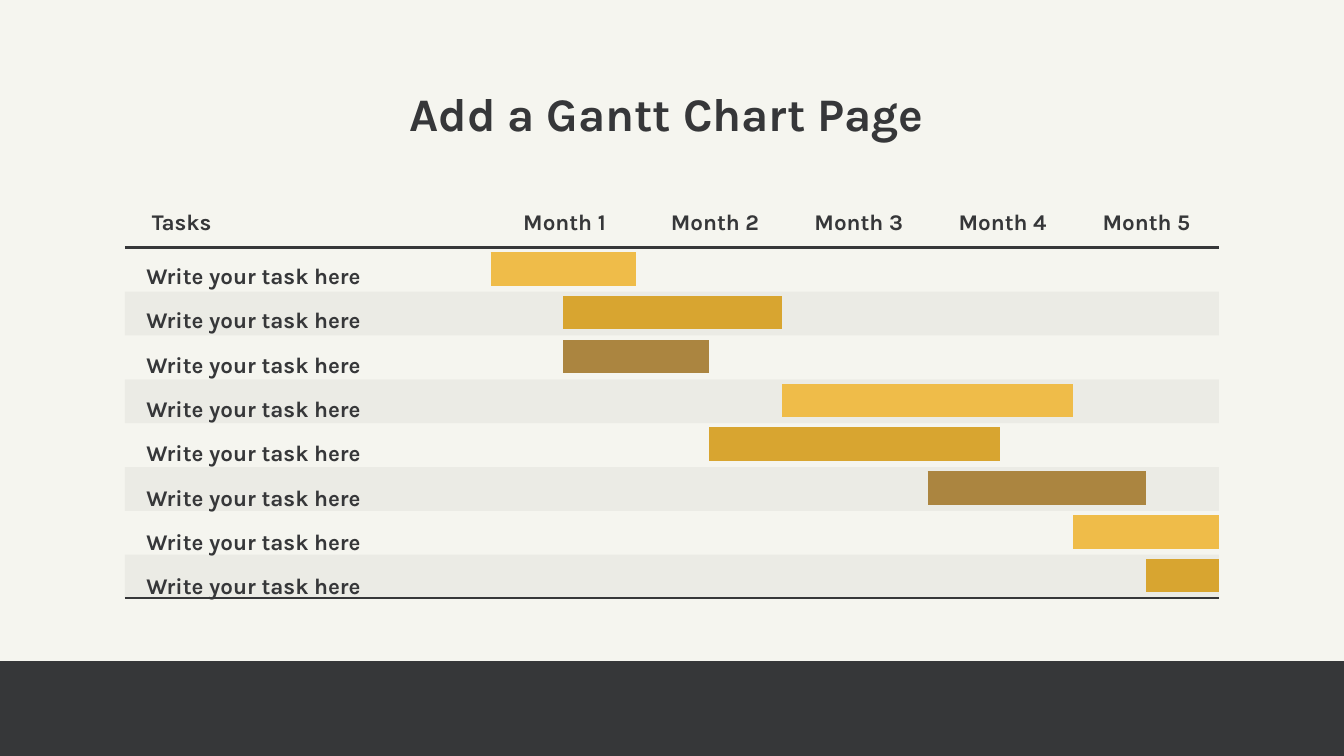
"""Build a Gantt chart slide with eight tasks over five months."""
from lxml.etree import SubElement
from pptx import Presentation
from pptx.dml.color import RGBColor
from pptx.enum.shapes import MSO_CONNECTOR, MSO_SHAPE
from pptx.enum.text import MSO_AUTO_SIZE, PP_ALIGN
from pptx.oxml.ns import qn
from pptx.util import Inches, Pt

DARK, LIGHT, GOLD, BROWN = "363739", "EFBC49", "D8A530", "AB8540"
WIDE, HIGH = 10, 10 * 9 / 16
LEFT, RIGHT, TOP, BASE = 0.93, 9.07, 1.84, 4.45
START = 3.65
HALF, ROW = (RIGHT - START) / 10, (BASE - TOP) / 8

deck = Presentation()
deck.slide_width, deck.slide_height = Inches(WIDE), Inches(HIGH)
slide = deck.slides.add_slide(deck.slide_layouts[6])
shapes = slide.shapes


def paint(fill, color):
    fill.solid()
    fill.fore_color.rgb = RGBColor.from_string(color)


def write(words, left, top, width, height, size, align, space):
    box = shapes.add_textbox(*map(Inches, (left, top, width, height)))
    frame = box.text_frame
    frame.margin_left = frame.margin_right = 0
    frame.margin_top = frame.margin_bottom = 0
    frame.word_wrap = True
    frame.auto_size = MSO_AUTO_SIZE.SHAPE_TO_FIT_TEXT
    para = frame.paragraphs[0]
    para.text = words
    para.alignment, para.line_spacing = align, space
    font = para.font
    font.name, font.size, font.bold = "Karla", Pt(size), True
    paint(font.fill, DARK)


paint(slide.background.fill, "F5F5EF")

bands = [(LEFT, 2.17 + 2 * ROW * i, RIGHT - LEFT, ROW, 5) for i in range(4)]
for left, top, width, height, alpha in [(0, 4.92, WIDE, HIGH - 4.92, 100)] + bands:
    band = shapes.add_shape(
        MSO_SHAPE.RECTANGLE, *map(Inches, (left, top, width, height)))
    band.shadow.inherit = False
    band.line.fill.background()
    paint(band.fill, DARK)
    if alpha < 100:
        tint = next(band._element.spPr.iter(qn("a:srgbClr")))
        SubElement(tint, qn("a:alpha")).set("val", str(alpha * 1000))

rules = [(LEFT, RIGHT, y, DARK, 1.5) for y in (TOP, BASE)]
spans = [(0, 2, LIGHT), (1, 4, GOLD), (1, 3, BROWN), (4, 8, LIGHT),
         (3, 7, GOLD), (6, 9, BROWN), (8, 10, LIGHT), (9, 10, GOLD)]
bars = [(START + HALF * first, START + HALF * last, 2 + ROW * row, color, 18)
        for row, (first, last, color) in enumerate(spans)]
for left, right, y, color, weight in rules + bars:
    bar = shapes.add_connector(
        MSO_CONNECTOR.STRAIGHT, *map(Inches, (left, y, right, y)))
    bar.line.width = Pt(weight)
    paint(bar.line.fill, color)
    SubElement(bar._element.spPr, qn("a:effectLst"))

for month, mid in enumerate((4.2, 5.32, 6.39, 7.46, 8.53), 1):
    write(f"Month {month}", mid - 0.36, 1.47, 0.72, 0.2, 12, PP_ALIGN.CENTER, 1.4)
write("Tasks", 1.13, 1.47, 2.39, 0.2, 12, PP_ALIGN.JUSTIFY, 1.4)
for row in range(8):
    write("Write your task here", 1.09, 1.87 + 0.33 * row, 2.43, 0.2, 12,
          PP_ALIGN.JUSTIFY, 1.4)
write("Add a Gantt Chart Page", LEFT, 0.55, 8.06, 0.42, 25, PP_ALIGN.CENTER, 1.2)

deck.save("out.pptx")
